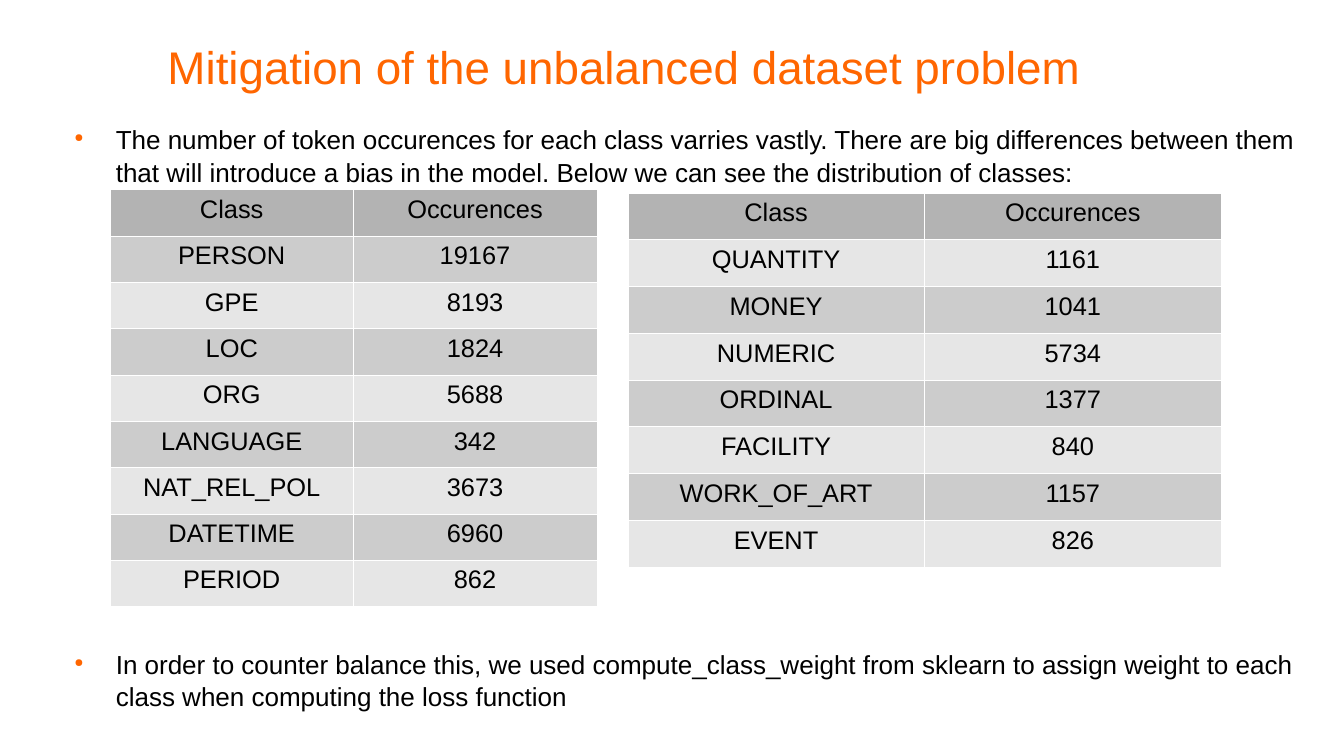
from pptx import Presentation
from pptx.dml.color import RGBColor
from pptx.enum.text import MSO_ANCHOR as Anchor, PP_ALIGN as Align
from pptx.oxml import parse_xml
from pptx.oxml.ns import nsdecls
from pptx.util import Pt

ORANGE = RGBColor(0xFF, 0x66, 0x00)
BLACK = RGBColor(0x00, 0x00, 0x00)
HEADER_GRAY = RGBColor(0xB3, 0xB3, 0xB3)
MID_GRAY = RGBColor(0xCC, 0xCC, 0xCC)
LIGHT_GRAY = RGBColor(0xE6, 0xE6, 0xE6)
WHITE = RGBColor(0xFF, 0xFF, 0xFF)

HEADINGS = ("Class", "Occurences")
LEFT_CLASSES = [
    ("PERSON", 19167), ("GPE", 8193), ("LOC", 1824), ("ORG", 5688),
    ("LANGUAGE", 342), ("NAT_REL_POL", 3673), ("DATETIME", 6960),
    ("PERIOD", 862),
]
RIGHT_CLASSES = [
    ("QUANTITY", 1161), ("MONEY", 1041), ("NUMERIC", 5734),
    ("ORDINAL", 1377), ("FACILITY", 840), ("WORK_OF_ART", 1157),
    ("EVENT", 826),
]


def write(para, text, size=15, color=BLACK, align=Align.LEFT, font="Arial"):
    para.alignment = align
    span = para.add_run()
    span.text = text
    span.font.name = font
    span.font.size = Pt(size)
    span.font.color.rgb = color


class SlideBuilder:
    def __init__(self, page, border=WHITE, border_width=0.06):
        self.page = page
        self.border = border
        self.border_width = border_width

    def text_box(self, left, top, width, height, anchor=Anchor.TOP):
        box = self.page.shapes.add_textbox(Pt(left), Pt(top), Pt(width), Pt(height))
        frame = box.text_frame
        frame.word_wrap = True
        frame.vertical_anchor = anchor
        frame.margin_left = frame.margin_right = 0
        frame.margin_top = frame.margin_bottom = 0
        return frame

    def title(self, text, *place):
        frame = self.text_box(*place, anchor=Anchor.MIDDLE)
        write(frame.paragraphs[0], text, size=27, color=ORANGE, align=Align.CENTER)

    def bullets(self, texts, *place, gap):
        frame = self.text_box(*place)
        for index, text in enumerate(texts):
            para = frame.add_paragraph() if index else frame.paragraphs[0]
            para.line_spacing = 1.05
            para.space_before = Pt(gap if index else 0)
            write(para, text, size=15.4)
            self.add_bullet(para)

    def add_bullet(self, para):
        properties = para._p.get_or_add_pPr()
        properties.set("marL", str(Pt(32.4)))
        properties.set("indent", str(Pt(-24.5)))
        for tag in (f'<a:buClr {nsdecls("a")}><a:srgbClr val="{ORANGE}"/></a:buClr>',
                    f'<a:buSzPct {nsdecls("a")} val="45000"/>',
                    f'<a:buChar {nsdecls("a")} char="●"/>'):
            properties.append(parse_xml(tag))

    def table(self, classes, left, top, width, height, bands):
        rows = [HEADINGS, *classes]
        table = self.page.shapes.add_table(
            len(rows), len(HEADINGS), Pt(left), Pt(top), Pt(width), Pt(height)).table
        for row in table.rows:
            row.height = Pt(height / len(rows))
        for row_index, values in enumerate(rows):
            fill = bands[(row_index - 1) % 2] if row_index else HEADER_GRAY
            for column, value in enumerate(values):
                self.cell(table.cell(row_index, column), str(value), fill)

    def cell(self, cell, text, fill):
        write(cell.text_frame.paragraphs[0], text, align=Align.CENTER)
        # Borders come before the fill in the cell properties
        properties = cell._tc.get_or_add_tcPr()
        for side in ("lnL", "lnR", "lnT", "lnB"):
            properties.append(parse_xml(
                f'<a:{side} {nsdecls("a")} w="{Pt(self.border_width)}"><a:solidFill>'
                f'<a:srgbClr val="{self.border}"/></a:solidFill></a:{side}>'))
        cell.fill.solid()
        cell.fill.fore_color.rgb = fill


def main():
    deck = Presentation()
    deck.slide_width, deck.slide_height = Pt(793.44), Pt(446.4)
    builder = SlideBuilder(deck.slides.add_slide(deck.slide_layouts[6]))

    # Title
    builder.title("Mitigation of the unbalanced dataset problem", 42.5, 8.6, 651.6, 60.5)

    # Bullets above and below the tables
    builder.bullets([
        "The number of token occurences for each class varries vastly. There are big "
        "differences between them that will introduce a bias in the model. Below we can "
        "see the distribution of classes:",
        "In order to counter balance this, we used compute_class_weight from sklearn to "
        "assign weight to each class when computing the loss function",
    ], 36, 72, 731.5, 342, gap=271)

    # Class distribution
    builder.table(LEFT_CLASSES, 65, 111.8, 287.3, 246.2, bands=(MID_GRAY, LIGHT_GRAY))
    builder.table(RIGHT_CLASSES, 370.6, 113.8, 350.4, 221, bands=(LIGHT_GRAY, MID_GRAY))

    deck.save("out.pptx")


if __name__ == "__main__":
    main()
